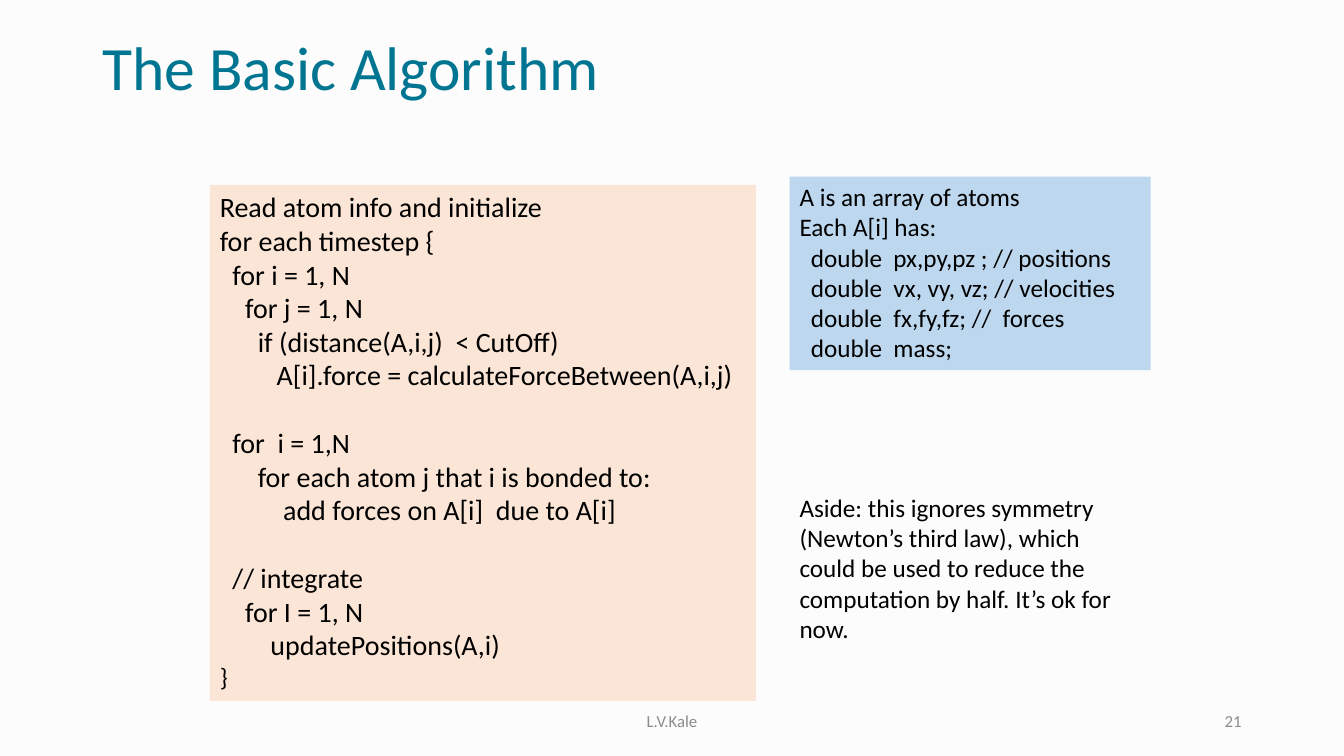
from pptx import Presentation
from pptx import util as u
from pptx.dml.color import RGBColor
from pptx.enum import shapes, text

FONT = "Calibri"
BLACK, TEAL, GREY = "000000", "007592", "8C8C8C"
SPACE_WIDTH = 0.226  # width of one space, in ems
LINE_HEIGHT = 1.22  # height of one line, in ems

# Each line: depth in spaces, wording, blank lines above
ALGORITHM = [
    (0, "Read atom info and initialize", 0),
    (0, "for each timestep {", 0),
    (2, "for i = 1, N", 0),
    (4, "for j = 1, N", 0),
    (6, "if (distance(A,i,j)  < CutOff)", 0),
    (9, "A[i].force = calculateForceBetween(A,i,j)", 0),
    (2, "for  i = 1,N", 1),
    (6, "for each atom j that i is bonded to:", 0),
    (10, "add forces on A[i]  due to A[i]", 0),
    (2, "// integrate", 1),
    (4, "for I = 1, N", 0),
    (8, "updatePositions(A,i)", 0),
]
ATOM_FIELDS = [
    (0, "A is an array of atoms", 0),
    (0, "Each A[i] has:", 0),
    (2, "double  px,py,pz ; // positions", 0),
    (2, "double  vx, vy, vz; // velocities", 0),
    (2, "double  fx,fy,fz; //  forces", 0),
    (2, "double  mass;", 0),
]
ASIDE = ("Aside: this ignores symmetry (Newton’s third law), which could be "
         "used to reduce the computation by half. It’s ok for now.")


def color(hex_code):
    return RGBColor.from_string(hex_code)


def cm_box(box):
    return [u.Cm(length) for length in box]


def add_run(paragraph, wording, size, hex_code=BLACK):
    run = paragraph.add_run()
    run.text = wording
    run.font.name = FONT
    run.font.size = u.Pt(size)
    run.font.color.rgb = color(hex_code)


def add_label(slide, box, wording, size, hex_code=BLACK,
              align=text.PP_ALIGN.LEFT, anchor=text.MSO_ANCHOR.MIDDLE):
    """Place one paragraph of wrapped text and return it."""
    frame = slide.shapes.add_textbox(*cm_box(box)).text_frame
    frame.word_wrap = True
    frame.vertical_anchor = anchor
    paragraph = frame.paragraphs[0]
    paragraph.alignment = align
    add_run(paragraph, wording, size, hex_code)
    return paragraph


def add_code_panel(slide, box, fill, lines, size):
    """Place a filled panel of indented code and return its text frame."""
    panel = slide.shapes.add_shape(shapes.MSO_SHAPE.RECTANGLE, *cm_box(box))
    panel.shadow.inherit = False
    panel.fill.solid()
    panel.fill.fore_color.rgb = color(fill)
    panel.line.fill.background()
    frame = panel.text_frame
    frame.word_wrap = True
    frame.vertical_anchor = text.MSO_ANCHOR.TOP
    for number, (depth, wording, blanks) in enumerate(lines):
        paragraph = frame.add_paragraph() if number else frame.paragraphs[0]
        paragraph.alignment = text.PP_ALIGN.LEFT
        paragraph.space_before = u.Pt(blanks * LINE_HEIGHT * size)
        properties = paragraph._p.get_or_add_pPr()
        properties.set("marL", str(u.Pt(depth * SPACE_WIDTH * size)))
        properties.set("indent", "0")
        add_run(paragraph, wording, size)
    return frame


def add_algorithm(slide, box):
    frame = add_code_panel(slide, box, "FBE5D6", ALGORITHM, 20)
    closing_brace = frame.add_paragraph()
    closing_brace.alignment = text.PP_ALIGN.LEFT
    add_run(closing_brace, "}", 18)


def add_footer(slide, box):
    """Centre the author in the box and put the page number at its right."""
    left, top, width, height = box
    author_width, number_width = 11.43, 7.62
    add_label(slide, (left + (width - author_width) / 2, top, author_width, height),
              "L.V.Kale", 12, GREY, text.PP_ALIGN.CENTER)
    add_label(slide, (left + width - number_width, top, number_width, height),
              "21", 12, GREY, text.PP_ALIGN.RIGHT)


def main():
    deck = Presentation()
    deck.slide_width, deck.slide_height = u.Cm(33.87), u.Cm(19.05)
    slide = deck.slides.add_slide(deck.slide_layouts[6])
    slide.background.fill.solid()
    slide.background.fill.fore_color.rgb = color("FCFCFC")

    title = add_label(slide, (2.33, 0.71, 29.21, 2.13),
                      "The Basic Algorithm", 44, TEAL)
    title.line_spacing = 0.9
    add_algorithm(slide, (5.29, 4.66, 13.76, 13))
    add_code_panel(slide, (19.9, 4.45, 9.1, 4.88), "BDD7EE", ATOM_FIELDS, 18)
    add_label(slide, (19.9, 12.28, 8.47, 4.11), ASIDE, 18,
              anchor=text.MSO_ANCHOR.TOP)
    add_footer(slide, (2.33, 17.65, 29.21, 1.02))
    deck.save("out.pptx")


if __name__ == "__main__":
    main()
